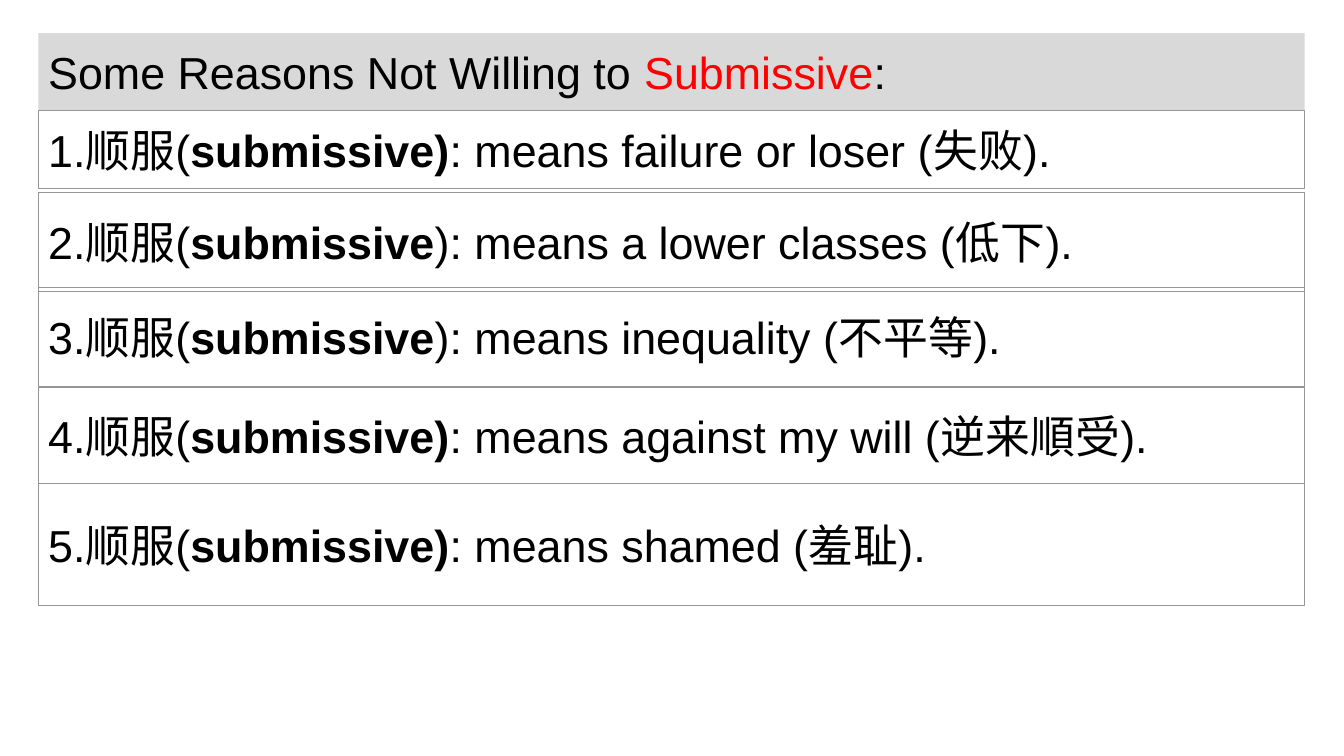
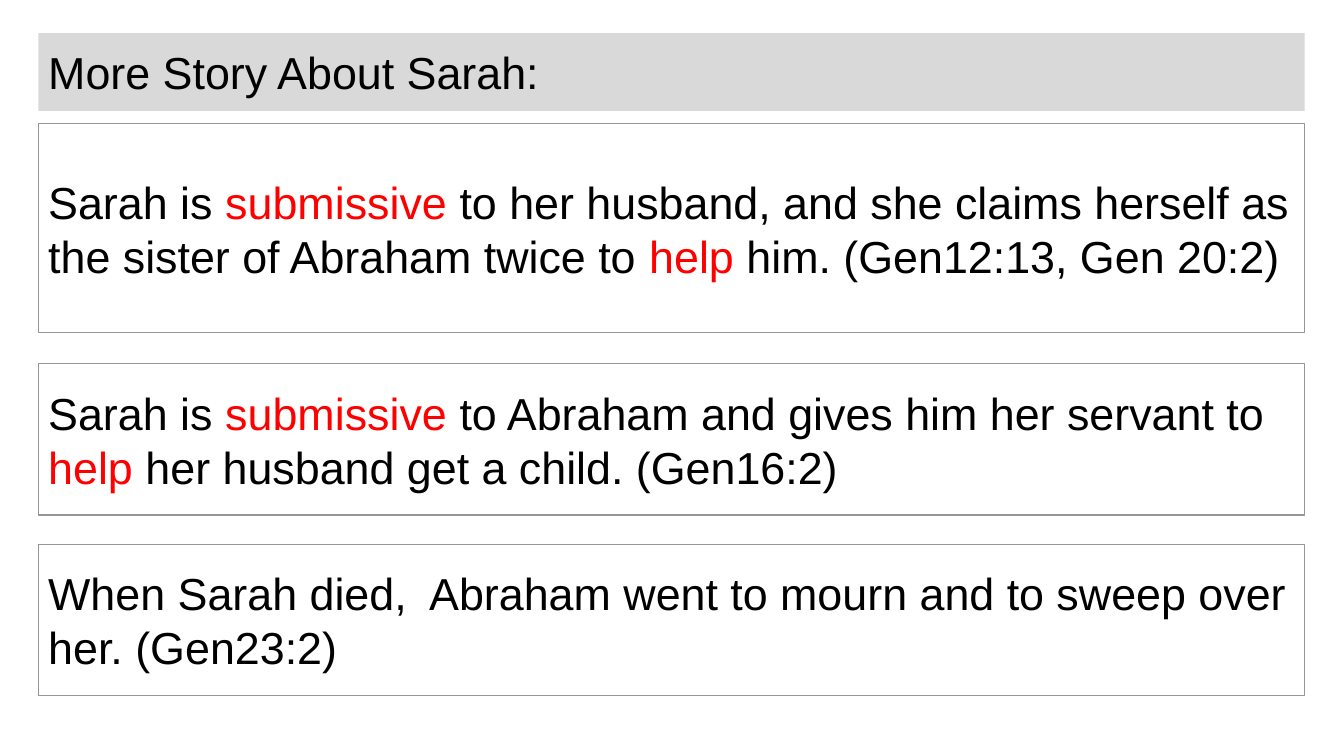
from pptx import Presentation
from pptx.dml.color import RGBColor
from pptx.enum.shapes import MSO_SHAPE
from pptx.enum.text import MSO_ANCHOR, PP_ALIGN
from pptx.util import Emu, Pt

EMU_PER_PX = 9144
BLACK, RED, GREY, BAND = "000000", "FF0000", "969696", "D9D9D9"
FONT, TEXT_SIZE = "Arial", 32
LEFT, WIDTH = 38, 1256
TITLE_TOP, TITLE_HEIGHT = 33, 77

REASONS = [
    (110, 77, "submissive)", ": means failure or loser (失败)."),
    (191, 98, "submissive", "): means a lower classes (低下)."),
    (285, 98, "submissive", "): means inequality (不平等)."),
    (384, 96, "submissive)", ": means against my will (逆来順受)."),
    (480, 121, "submissive)", ": means shamed (羞耻)."),
]


def px(length):
    return Emu(length * EMU_PER_PX)


def color(value):
    return RGBColor.from_string(value)


def plain(text):
    return text, BLACK, False


def red(text):
    return text, RED, False


def bold(text):
    return text, BLACK, True


def add_box(page, top, height, spans):
    box = page.shapes.add_shape(
        MSO_SHAPE.RECTANGLE, px(LEFT), px(top), px(WIDTH), px(height)
    )
    box.shadow.inherit = False
    frame = box.text_frame
    frame.word_wrap = True
    frame.vertical_anchor = MSO_ANCHOR.MIDDLE
    para = frame.paragraphs[0]
    para.alignment = PP_ALIGN.LEFT
    for text, text_color, is_bold in spans:
        span = para.add_run()
        span.text = text
        span.font.name = FONT
        span.font.size = Pt(TEXT_SIZE)
        span.font.bold = is_bold
        span.font.color.rgb = color(text_color)
    return box


def add_title(page, *spans):
    band = add_box(page, TITLE_TOP, TITLE_HEIGHT, spans)
    band.fill.solid()
    band.fill.fore_color.rgb = color(BAND)
    band.line.fill.background()


def add_statement(page, top, height, *spans):
    box = add_box(page, top, height, spans)
    box.fill.background()
    box.line.color.rgb = color(GREY)
    box.line.width = Pt(0.75)


def add_page(deck):
    return deck.slides.add_slide(deck.slide_layouts[6])


def build_reasons(deck):
    page = add_page(deck)
    add_title(
        page, plain("Some Reasons Not Willing to "), red("Submissive"), plain(":")
    )
    for number, (top, height, word, meaning) in enumerate(REASONS, 1):
        add_statement(
            page, top, height, plain(f"{number}.顺服("), bold(word), plain(meaning)
        )


def build_story(deck):
    page = add_page(deck)
    add_title(page, plain("More Story About Sarah:"))
    add_statement(
        page, 123, 207,
        plain("Sarah is "),
        red("submissive"),
        plain(" to her husband, and she claims herself as the sister of Abraham twice to "),
        red("help"),
        plain(" him. (Gen12:13, Gen 20:2)"),
    )
    add_statement(
        page, 361, 150,
        plain("Sarah is "),
        red("submissive"),
        plain(" to Abraham and gives him her servant to "),
        red("help"),
        plain(" her husband get a child. (Gen16:2)"),
    )
    add_statement(
        page, 540, 150,
        plain("When Sarah died,  Abraham went to mourn and to sweep over her. (Gen23:2)"),
    )


def main():
    deck = Presentation()
    deck.slide_width, deck.slide_height = px(1333), px(750)
    build_reasons(deck)
    build_story(deck)
    deck.save("out.pptx")


if __name__ == "__main__":
    main()
